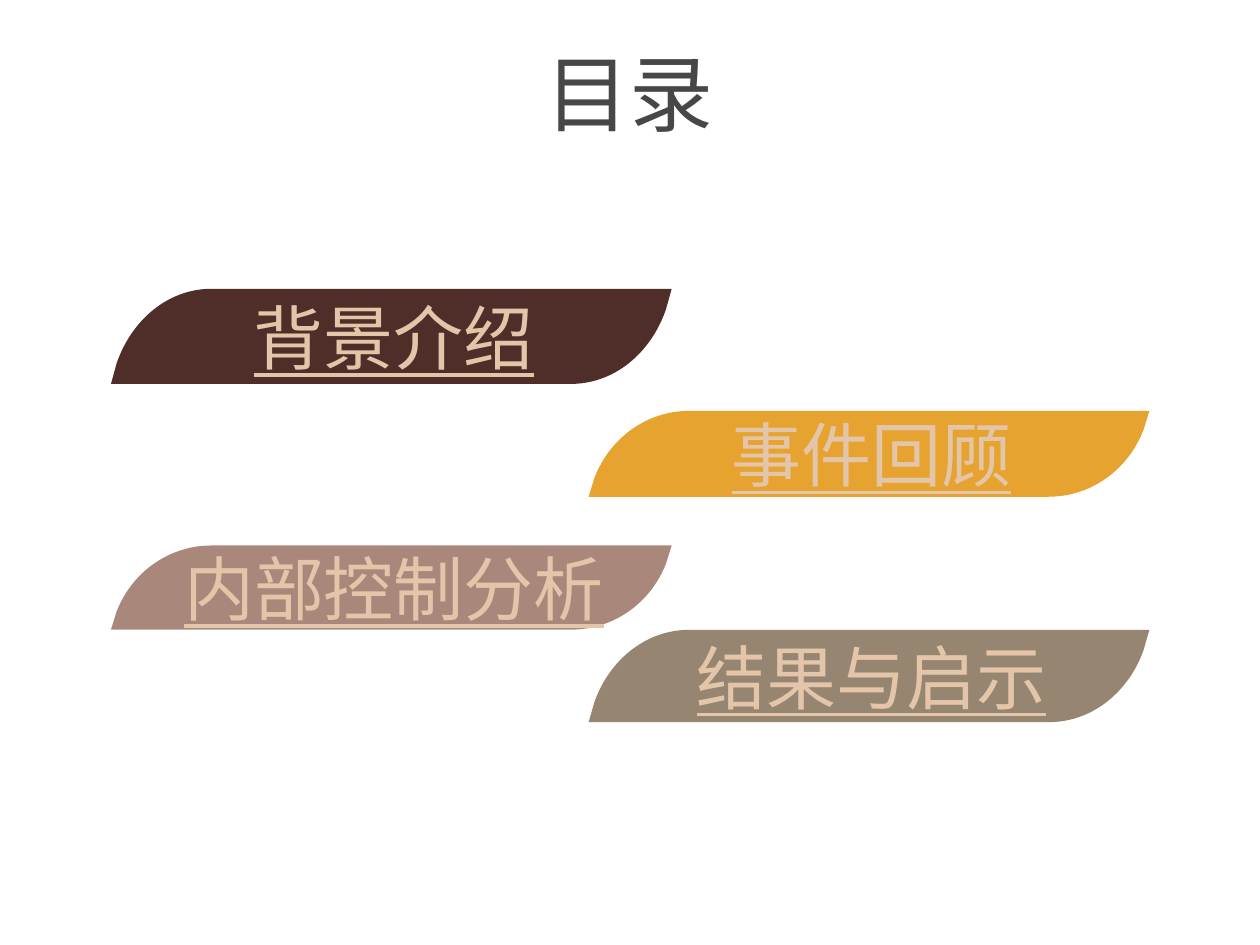
import pptx
import pptx.dml.color
import pptx.enum.text
import pptx.util

Pt = pptx.util.Pt
RGB = pptx.dml.color.RGBColor.from_string
ALIGN = pptx.enum.text.PP_ALIGN
ANCHOR = pptx.enum.text.MSO_ANCHOR


class Theme:
    font = "Arial"
    title_size, band_size = Pt(48), Pt(40)
    title_color, band_text = "474747", "E3C6A9"
    brown, amber, rose, olive = "4F2D28", "E6A330", "A9887B", "968571"


BAND_WIDTH = 320.4
LEFT, RIGHT = 63.4, 336.4
CURVE_STEPS = 24

# text, left, top, height, fill
BANDS = [
    ("背景介绍", LEFT, 165, 54.4, Theme.brown),
    ("事件回顾", RIGHT, 234.8, 49.1, Theme.amber),
    ("内部控制分析", LEFT, 311.7, 48.1, Theme.rose),
    ("结果与启示", RIGHT, 359.9, 52.8, Theme.olive),
]


def set_all(obj, values):
    for name, value in values.items():
        setattr(obj, name, value)


def write_text(shape, text, frame, font, color, line_spacing=1.0):
    tf = shape.text_frame
    set_all(tf, {"word_wrap": True, **frame})
    p = tf.paragraphs[0]
    set_all(p, {"alignment": ALIGN.CENTER, "line_spacing": line_spacing})
    r = p.add_run()
    r.text = text
    set_all(r.font, {"name": Theme.font, **font})
    r.font.color.rgb = RGB(color)


def cubic(points, t):
    weights = ((1 - t) ** 3, 3 * t * (1 - t) ** 2, 3 * t * t * (1 - t), t ** 3)
    return tuple(sum(w * pt[axis] for w, pt in zip(weights, points))
                 for axis in (0, 1))


def band_outline(width, height):
    """Right edge of the band, then the same edge turned by 180 degrees."""
    control = [(width - inset, height * share) for inset, share in
               ((3.3, 0.22), (12, 0.68), (33, 1), (57.6, 1))]
    edge = [(width, 0)]
    edge += [cubic(control, i / CURVE_STEPS) for i in range(CURVE_STEPS + 1)]
    return edge + [(width - x, height - y) for x, y in edge]


def add_band(s, text, left, top, height, fill):
    points = [(Pt(left + x), Pt(top + y))
              for x, y in band_outline(BAND_WIDTH, height)]
    builder = s.shapes.build_freeform(*points[0], scale=1.0)
    builder.add_line_segments(points[1:], close=True)
    sp = builder.convert_to_shape()
    sp.shadow.inherit = False
    sp.fill.solid()
    sp.fill.fore_color.rgb = RGB(fill)
    sp.line.fill.background()
    frame = {"vertical_anchor": ANCHOR.MIDDLE,
             "margin_left": Pt(17.3), "margin_right": Pt(14.4),
             "margin_top": Pt(3.6), "margin_bottom": Pt(3.6)}
    write_text(sp, text, frame,
               {"size": Theme.band_size, "underline": True}, Theme.band_text)


def add_title(s, text):
    title = s.shapes.title
    set_all(title, {"left": Pt(54), "top": Pt(26.6),
                    "width": Pt(612), "height": Pt(46)})
    frame = {"vertical_anchor": ANCHOR.TOP,
             "auto_size": pptx.enum.text.MSO_AUTO_SIZE.NONE}
    write_text(title, text, frame, {"size": Theme.title_size},
               Theme.title_color, line_spacing=0.9)


def main():
    prs = pptx.Presentation()
    set_all(prs, {"slide_width": Pt(720), "slide_height": Pt(540)})
    s = prs.slides.add_slide(prs.slide_layouts[5])
    add_title(s, "目录")
    for band in BANDS:
        add_band(s, *band)
    prs.save("out.pptx")


if __name__ == "__main__":
    main()
